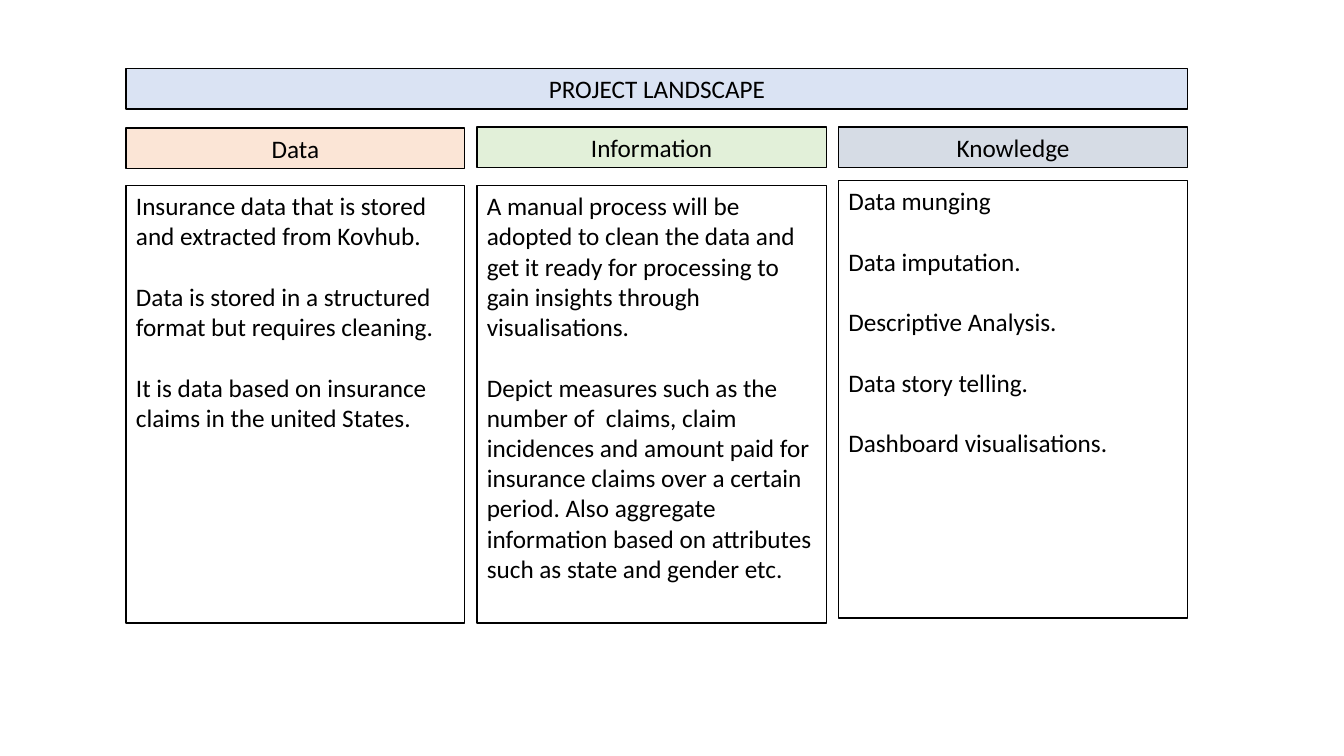
import pptx
import pptx.dml.color
import pptx.enum.shapes
import pptx.enum.text
import pptx.util

COLOURS = {
    "ink": "000000",
    "paper": "FFFFFF",
    "title": "DAE3F3",
    "data": "FBE5D6",
    "information": "E2F0D9",
    "knowledge": "D6DCE5",
}

# Lengths are percentages of the slide's width or height.
LEFT, GUTTER = 9.38, 0.9
TITLE_TOP, BAR_HEIGHT, BODY_HEIGHT = 9.07, 5.33, 57.87

# heading, fill, width, heading top, body top, paragraphs
COLUMNS = [
    ("Data", "data", 25.2, 16.93, 24.53, [
        "Insurance data that is stored and extracted from Kovhub.",
        "Data is stored in a structured format but requires cleaning.",
        "It is data based on insurance claims in the united States.",
    ]),
    ("Information", "information", 26, 16.8, 24.53, [
        "A manual process will be adopted to clean the data and get it ready "
        "for processing to gain insights through visualisations.",
        "Depict measures such as the number of  claims, claim incidences and "
        "amount paid for insurance claims over a certain period. Also aggregate "
        "information based on attributes such as state and gender etc.",
    ]),
    ("Knowledge", "knowledge", 26, 16.8, 23.87, [
        "Data munging",
        "Data imputation.",
        "Descriptive Analysis.",
        "Data story telling.",
        "Dashboard visualisations.",
    ]),
]


class LandscapeSlide:
    font_name = "Calibri"
    font_size = pptx.util.Pt(18)
    paragraph_gap = pptx.util.Pt(21.6)
    line_width = pptx.util.Pt(1)

    def __init__(self, presentation):
        self.width = presentation.slide_width
        self.height = presentation.slide_height
        self.slide = presentation.slides.add_slide(presentation.slide_layouts[6])

    def colour(self, name):
        return pptx.dml.color.RGBColor.from_string(COLOURS[name])

    def box(self, left, top, width, height, fill, paragraphs, alignment):
        shape = self.slide.shapes.add_shape(
            pptx.enum.shapes.MSO_SHAPE.RECTANGLE,
            round(self.width * left / 100), round(self.height * top / 100),
            round(self.width * width / 100), round(self.height * height / 100))
        shape.shadow.inherit = False
        shape.fill.solid()
        shape.fill.fore_color.rgb = self.colour(fill)
        shape.line.color.rgb = self.colour("ink")
        shape.line.width = self.line_width

        text_frame = shape.text_frame
        text_frame.word_wrap = True
        text_frame.vertical_anchor = pptx.enum.text.MSO_ANCHOR.TOP
        text_frame.text = "\n".join(paragraphs)
        for index, paragraph in enumerate(text_frame.paragraphs):
            paragraph.alignment = alignment
            if index:
                paragraph.space_before = self.paragraph_gap
            for run in paragraph.runs:
                run.font.name = self.font_name
                run.font.size = self.font_size
                run.font.color.rgb = self.colour("ink")

    def bar(self, left, top, width, fill, text):
        self.box(left, top, width, BAR_HEIGHT, fill, [text],
                 pptx.enum.text.PP_ALIGN.CENTER)

    def body(self, left, top, width, paragraphs):
        self.box(left, top, width, BODY_HEIGHT, "paper", paragraphs,
                 pptx.enum.text.PP_ALIGN.LEFT)


def main():
    presentation = pptx.Presentation()
    presentation.slide_width = pptx.util.Inches(13.33)
    presentation.slide_height = pptx.util.Inches(7.5)
    landscape = LandscapeSlide(presentation)

    left = LEFT
    for heading, fill, width, heading_top, body_top, paragraphs in COLUMNS:
        landscape.bar(left, heading_top, width, fill, heading)
        landscape.body(left, body_top, width, paragraphs)
        left += width + GUTTER
    landscape.bar(LEFT, TITLE_TOP, left - GUTTER - LEFT, "title", "PROJECT LANDSCAPE")

    presentation.save("out.pptx")


if __name__ == "__main__":
    main()
